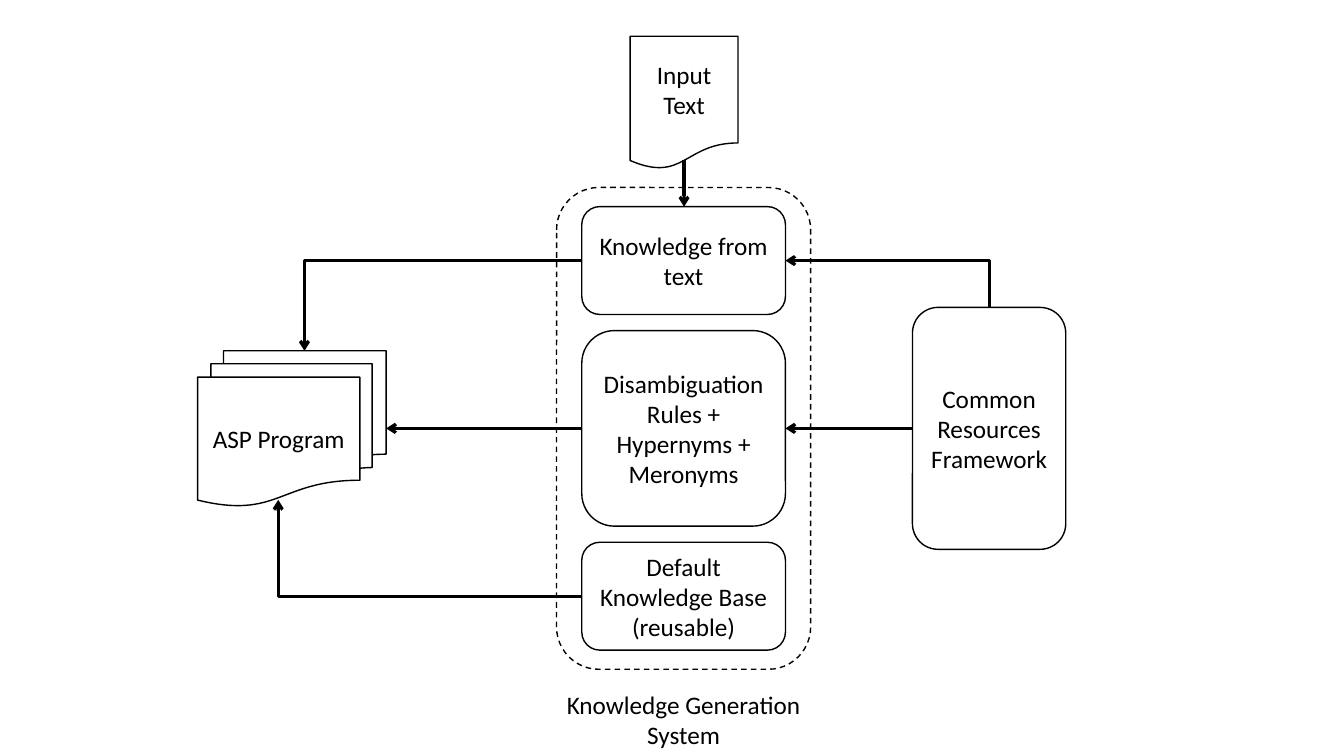
import collections
import dataclasses

import pptx
import pptx.dml.color
import pptx.enum.dml
import pptx.enum.shapes
import pptx.enum.text
import pptx.oxml
import pptx.oxml.ns
import pptx.util

Inches = pptx.util.Inches
Shapes = pptx.enum.shapes.MSO_SHAPE
Connectors = pptx.enum.shapes.MSO_CONNECTOR
Anchors = pptx.enum.text.MSO_ANCHOR
Box = collections.namedtuple("Box", "left top width height")


@dataclasses.dataclass(frozen=True)
class Theme:
    """Colours, type and line widths of the diagram."""
    ink: pptx.dml.color.RGBColor = pptx.dml.color.RGBColor(0, 0, 0)
    paper: pptx.dml.color.RGBColor = pptx.dml.color.RGBColor(255, 255, 255)
    font: str = "Calibri"
    text_size: pptx.util.Pt = pptx.util.Pt(18)
    outline: pptx.util.Pt = pptx.util.Pt(1)
    arrow: pptx.util.Pt = pptx.util.Pt(2.25)


THEME = Theme()


def write(shape, lines, anchor):
    """Write centred lines into a shape."""
    frame = shape.text_frame
    for name, value in {"word_wrap": True, "vertical_anchor": anchor}.items():
        setattr(frame, name, value)
    for index, line in enumerate(lines):
        para = frame.add_paragraph() if index else frame.paragraphs[0]
        para.alignment = pptx.enum.text.PP_ALIGN.CENTER
        span = para.add_run()
        span.text = line
        for name, value in {"name": THEME.font, "size": THEME.text_size}.items():
            setattr(span.font, name, value)
        span.font.color.rgb = THEME.ink


def add_node(page, kind, box, lines=()):
    """Add an outlined shape with optional text."""
    node = page.shapes.add_shape(kind, *map(Inches, box))
    node.shadow.inherit = False
    node.fill.solid()
    node.fill.fore_color.rgb = THEME.paper
    node.line.color.rgb = THEME.ink
    node.line.width = THEME.outline
    if lines:
        write(node, lines, Anchors.MIDDLE)
    return node


def add_arrow(page, start, end, bent=False, head="tailEnd"):
    """Add an arrow; a bent one runs level first, then upright."""
    kind = Connectors.ELBOW if bent else Connectors.STRAIGHT
    arrow = page.shapes.add_connector(kind, *map(Inches, start + end))
    arrow.line.color.rgb = THEME.ink
    arrow.line.width = THEME.arrow
    properties = arrow.element.spPr
    if bent:
        properties.find(pptx.oxml.ns.qn("a:prstGeom")).set("prst", "bentConnector2")
    tip = pptx.oxml.parse_xml(f'<a:{head} {pptx.oxml.ns.nsdecls("a")} type="arrow"/>')
    properties.find(pptx.oxml.ns.qn("a:ln")).append(tip)
    properties.append(pptx.oxml.parse_xml(f'<a:effectLst {pptx.oxml.ns.nsdecls("a")}/>'))


def add_knowledge_system(page, box):
    """Add the dashed frame, its stacked stages and its caption; return the stage boxes."""
    frame = add_node(page, Shapes.ROUNDED_RECTANGLE, box)
    frame.line.dash_style = pptx.enum.dml.MSO_LINE.DASH
    stages = [
        (1.07, ["Knowledge from text"]),
        (1.94, ["Disambiguation Rules + Hypernyms + Meronyms"]),
        (1.07, ["Default Knowledge Base", "(reusable)"]),
    ]
    side, gap = 0.25, 0.16
    top = box.top + 0.19
    stage_boxes = []
    for height, lines in stages:
        stage = Box(box.left + side, top, box.width - 2 * side, height)
        add_node(page, Shapes.FLOWCHART_ALTERNATE_PROCESS, stage, lines)
        stage_boxes.append(stage)
        top += height + gap
    overhang = 0.21
    caption = page.shapes.add_textbox(
        Inches(box.left - overhang), Inches(box.top + box.height + 0.15),
        Inches(box.width + 2 * overhang), Inches(0.71))
    write(caption, ["Knowledge Generation System"], Anchors.TOP)
    return stage_boxes


def add_flows(page, stages, source, resources, program):
    """Connect the sources to the stages and the stages to the program."""
    text, rules, base = stages
    text_y, rules_y, base_y = (stage.top + stage.height / 2 for stage in stages)
    left, right = text.left, text.left + text.width
    source_x = source.left + source.width / 2
    resources_x = resources.left + resources.width / 2
    add_arrow(page, (source_x, source.top + 1.23), (source_x, text.top))
    add_arrow(page, (right, text_y), (resources_x, resources.top), True, "headEnd")
    add_arrow(page, (resources.left, rules_y), (right, rules_y))
    add_arrow(page, (left, text_y), (program.left + 1.06, program.top), True)
    add_arrow(page, (left, rules_y), (program.left + program.width, rules_y))
    add_arrow(page, (left, base_y), (program.left + 0.8, program.top + 1.48), True)


def build_diagram(page):
    """Place every region of the knowledge generation diagram."""
    source = Box(6.25, 0.36, 1.07, 1.32)
    resources = Box(9.05, 3.05, 1.52, 2.4)
    program = Box(1.96, 3.48, 1.87, 1.54)
    stages = add_knowledge_system(page, Box(5.52, 1.86, 2.52, 4.78))
    add_node(page, Shapes.FLOWCHART_DOCUMENT, source, ["Input", "Text"])
    add_node(page, Shapes.ROUNDED_RECTANGLE, resources, ["Common Resources Framework"])
    add_node(page, Shapes.FLOWCHART_MULTIDOCUMENT, program, ["ASP Program"])
    add_flows(page, stages, source, resources, program)


deck = pptx.Presentation()
deck.slide_width, deck.slide_height = Inches(13.33), Inches(7.5)
build_diagram(deck.slides.add_slide(deck.slide_layouts[6]))
deck.save("out.pptx")
